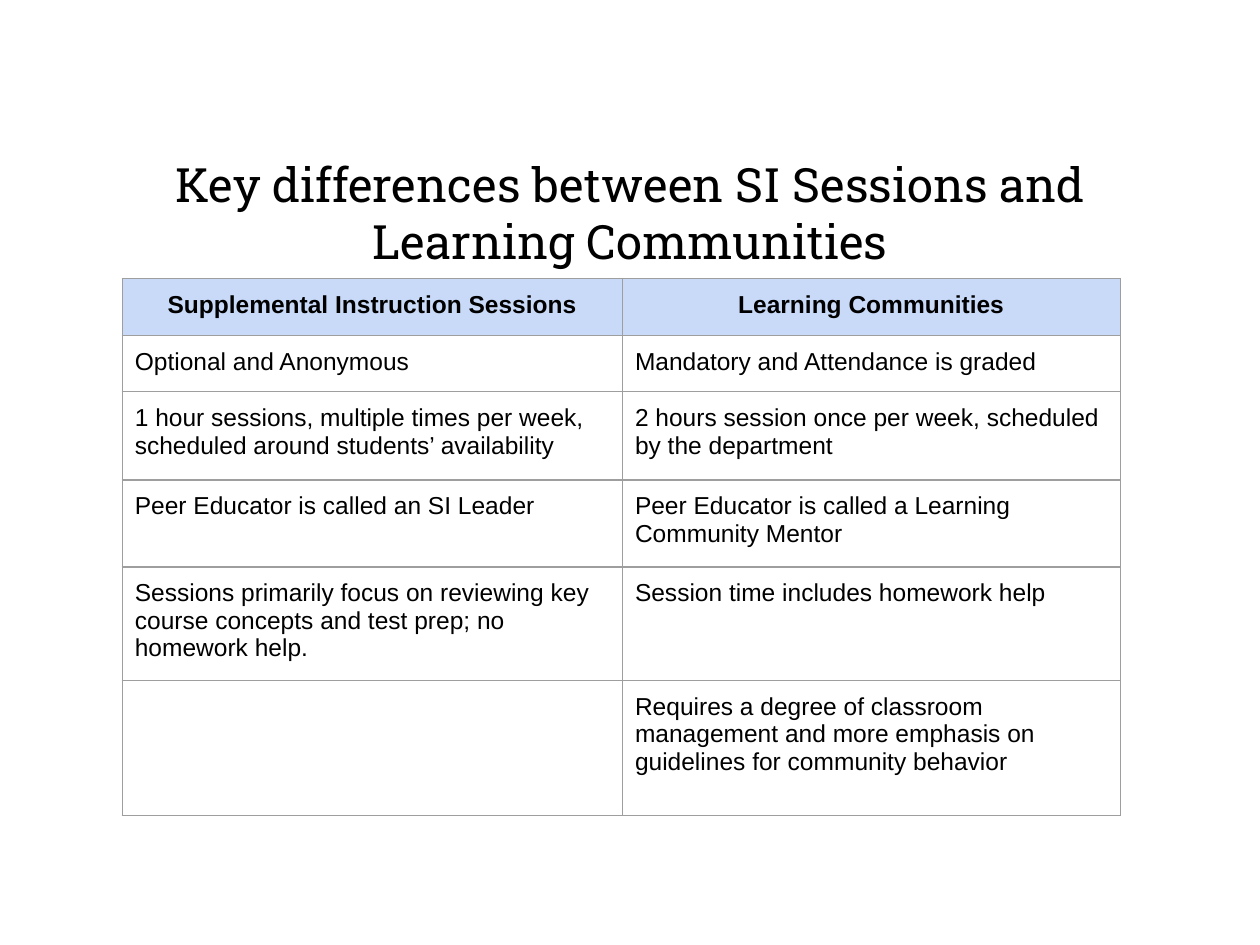
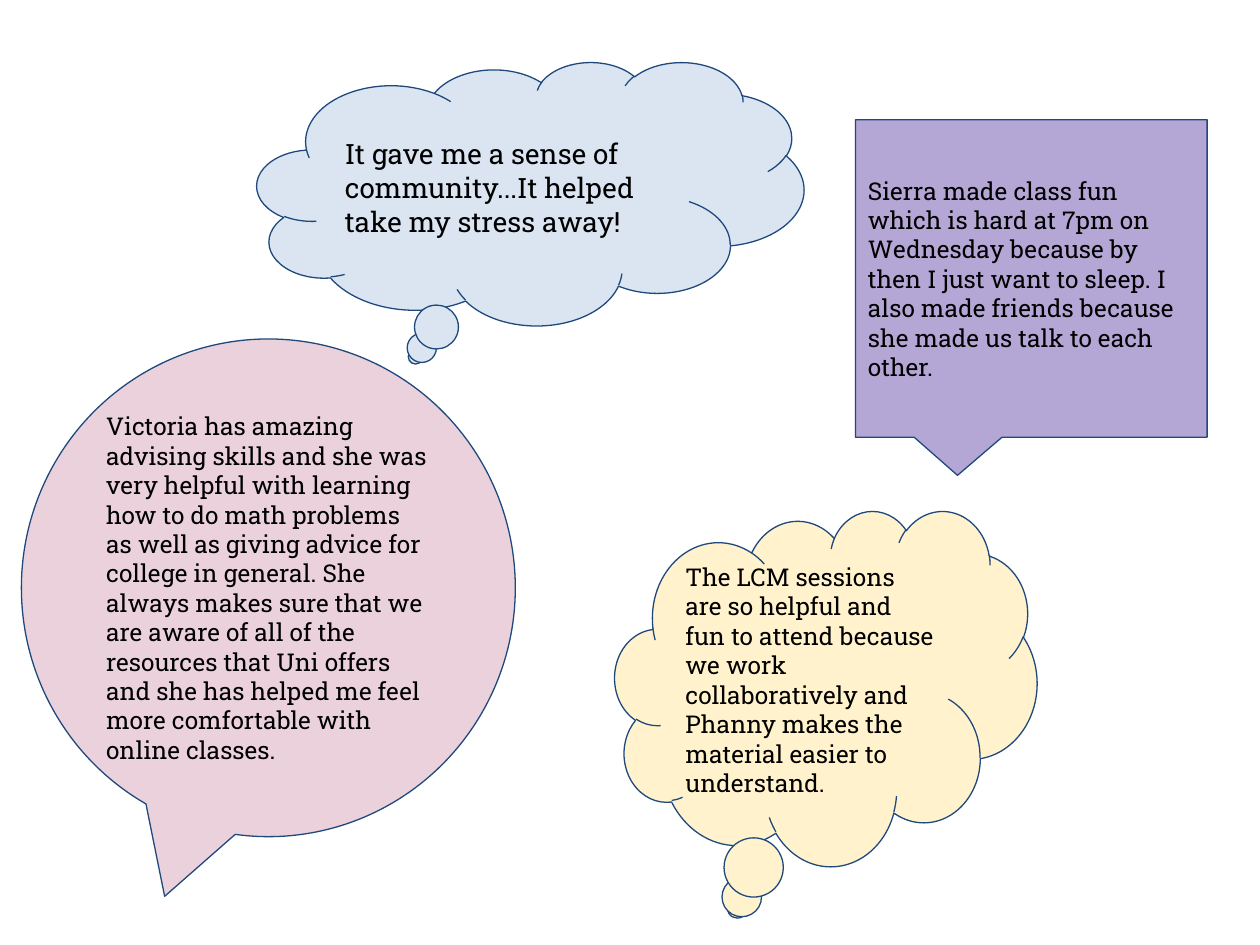
"""Build two slides on SI sessions, learning communities and student feedback."""

import dataclasses
import typing

import lxml.etree
import pptx
import pptx.dml.color
import pptx.enum.shapes
import pptx.enum.text
import pptx.oxml.ns
import pptx.util

Inches = pptx.util.Inches
Pt = pptx.util.Pt
Callout = pptx.enum.shapes.MSO_SHAPE
Align = pptx.enum.text.PP_ALIGN
Anchor = pptx.enum.text.MSO_ANCHOR

COLORS = {
    "text": "000000",
    "header": "C9DAF8",
    "grid": "9E9E9E",
    "outline": "1F497D",
    "purple": "B4A7D6",
    "pink": "EAD1DC",
    "yellow": "FFF2CC",
    "blue": "DAE5F1",
}
HEADING_FONT = "Roboto Slab"
TABLE_FONT = "Arial"
PADDING = Inches(0.1)
FRAME_FORMAT = {
    "word_wrap": True,
    "vertical_anchor": Anchor.MIDDLE,
    "margin_left": PADDING,
    "margin_right": PADDING,
    "margin_top": PADDING,
    "margin_bottom": PADDING,
}
CELL_FORMAT = {
    key: value for key, value in FRAME_FORMAT.items() if key.startswith("margin")
} | {"vertical_anchor": Anchor.TOP}
TABLE_FORMAT = {"first_row": False, "horz_banding": False}

COLUMN_WIDTHS = (3.97, 3.95)
ROW_HEIGHTS = (0.45, 0.45, 0.7, 0.69, 0.86, 1.07)
DIFFERENCES = (
    ("Supplemental Instruction Sessions", "Learning Communities"),
    ("Optional and Anonymous", "Mandatory and Attendance is graded"),
    (
        "1 hour sessions, multiple times per week, scheduled around students’ availability",
        "2 hours session once per week, scheduled by the department",
    ),
    (
        "Peer Educator is called an SI Leader",
        "Peer Educator is called a Learning Community Mentor",
    ),
    (
        "Sessions primarily focus on reviewing key course concepts and test prep; no homework help.",
        "Session time includes homework help",
    ),
    (
        "",
        "Requires a degree of classroom management and more emphasis on "
        "guidelines for community behavior",
    ),
)


@dataclasses.dataclass(frozen=True)
class Quote:
    """A student comment in a speech or thought bubble."""

    words: str
    bubble: Callout
    box: tuple[float, float, float, float]
    color: str
    size: int = 14
    tail: tuple[float, ...] = (-0.21, 0.62)


QUOTES = (
    Quote(
        "Sierra made class fun which is hard at 7pm on Wednesday because by then "
        "I just want to sleep. I also made friends because she made us talk to each other.",
        Callout.ROUNDED_RECTANGULAR_CALLOUT,
        (6.79, 0.95, 2.79, 2.52),
        "purple",
        tail=(-0.21, 0.62, 0),
    ),
    Quote(
        "Victoria has amazing advising skills and she was very helpful with learning "
        "how to do math problems as well as giving advice for college in general. "
        "She always makes sure that we are aware of all of the resources that Uni offers "
        "and she has helped me feel more comfortable with online classes.",
        Callout.OVAL_CALLOUT,
        (0.17, 2.69, 3.92, 3.95),
        "pink",
    ),
    Quote(
        "The LCM sessions are so helpful and fun to attend because we work "
        "collaboratively and Phanny makes the material easier to understand.",
        Callout.CLOUD_CALLOUT,
        (4.88, 4.05, 3.35, 2.82),
        "yellow",
    ),
    Quote(
        "It gave me a sense of community...It helped take my stress away!",
        Callout.CLOUD_CALLOUT,
        (2.04, 0.49, 4.34, 2.09),
        "blue",
        size=16,
    ),
)


def rgb(name: str) -> pptx.dml.color.RGBColor:
    """Return the named colour."""
    return pptx.dml.color.RGBColor.from_string(COLORS[name])


def apply_format(target: typing.Any, values: dict[str, typing.Any]) -> None:
    """Set each attribute of the target from the dict."""
    for key, value in values.items():
        setattr(target, key, value)


def write(
    frame: typing.Any,
    words: str,
    size: int,
    font: str = HEADING_FONT,
    align: Align = Align.LEFT,
    bold: bool = False,
) -> None:
    """Write one styled paragraph into a text frame."""
    paragraph = frame.paragraphs[0]
    paragraph.alignment = align
    if not words:
        return
    run = paragraph.add_run()
    run.text = words
    apply_format(run.font, {"name": font, "size": Pt(size), "bold": bold})
    run.font.color.rgb = rgb("text")


def add_title(slide: typing.Any, words: str) -> None:
    """Add the centred slide title."""
    title = slide.shapes.add_textbox(Inches(0.5), Inches(1.32), Inches(9), Inches(0.73))
    margins = {"margin_top": Inches(0.05), "margin_bottom": Inches(0.05)}
    apply_format(title.text_frame, FRAME_FORMAT | margins)
    write(title.text_frame, words, 27, align=Align.CENTER)


def add_borders(cell: typing.Any) -> None:
    """Draw a thin line on all four sides of a cell."""
    properties = cell._tc.get_or_add_tcPr()
    for position, side in enumerate(("lnL", "lnR", "lnT", "lnB")):
        line = lxml.etree.Element(pptx.oxml.ns.qn(f"a:{side}"), w=str(Pt(0.75)))
        fill = lxml.etree.SubElement(line, pptx.oxml.ns.qn("a:solidFill"))
        lxml.etree.SubElement(fill, pptx.oxml.ns.qn("a:srgbClr"), val=COLORS["grid"])
        properties.insert(position, line)


def add_differences(slide: typing.Any) -> None:
    """Add the two-column comparison table."""
    differences = slide.shapes.add_table(
        len(ROW_HEIGHTS),
        len(COLUMN_WIDTHS),
        Inches(0.97),
        Inches(2.21),
        Inches(sum(COLUMN_WIDTHS)),
        Inches(sum(ROW_HEIGHTS)),
    ).table
    apply_format(differences, TABLE_FORMAT)
    for column, width in zip(differences.columns, COLUMN_WIDTHS):
        column.width = Inches(width)
    for row, height in zip(differences.rows, ROW_HEIGHTS):
        row.height = Inches(height)
    for row_number, entries in enumerate(DIFFERENCES):
        heading = row_number == 0
        align = Align.CENTER if heading else Align.LEFT
        for column_number, words in enumerate(entries):
            cell = differences.cell(row_number, column_number)
            apply_format(cell, CELL_FORMAT)
            if heading:
                cell.fill.solid()
                cell.fill.fore_color.rgb = rgb("header")
            else:
                cell.fill.background()
            add_borders(cell)
            write(cell.text_frame, words, 14, TABLE_FONT, align, heading)


def add_quote(slide: typing.Any, quote: Quote) -> None:
    """Add one student comment in its bubble."""
    bubble = slide.shapes.add_shape(quote.bubble, *map(Inches, quote.box))
    for position, value in enumerate(quote.tail):
        bubble.adjustments[position] = value
    bubble.shadow.inherit = False
    bubble.fill.solid()
    bubble.fill.fore_color.rgb = rgb(quote.color)
    bubble.line.color.rgb = rgb("outline")
    bubble.line.width = Pt(0.75)
    apply_format(bubble.text_frame, FRAME_FORMAT)
    write(bubble.text_frame, quote.words, quote.size)


def main() -> None:
    """Build and save the presentation."""
    deck = pptx.Presentation()
    deck.slide_width, deck.slide_height = Inches(10), Inches(7.5)
    blank = deck.slide_layouts[6]

    comparison = deck.slides.add_slide(blank)
    add_title(comparison, "Key differences between SI Sessions and Learning Communities")
    add_differences(comparison)

    feedback = deck.slides.add_slide(blank)
    for quote in QUOTES:
        add_quote(feedback, quote)

    deck.save("out.pptx")


if __name__ == "__main__":
    main()
